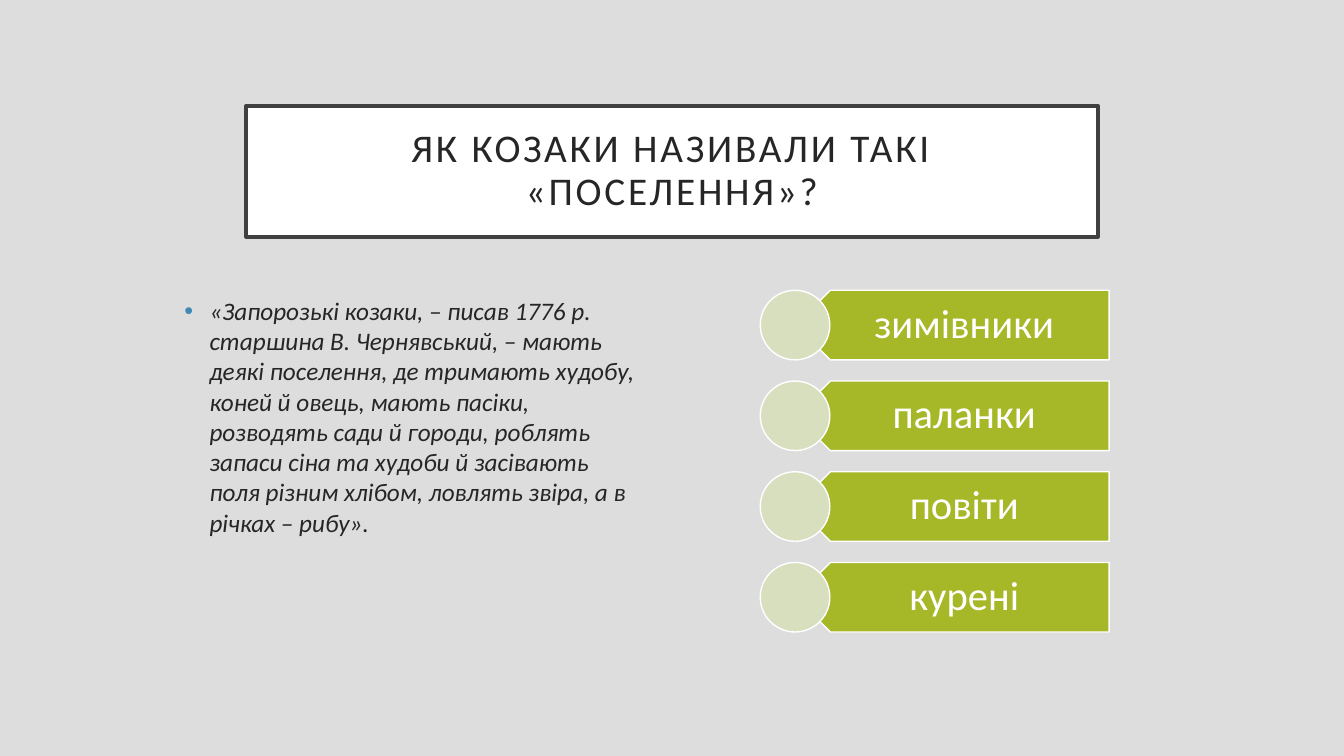
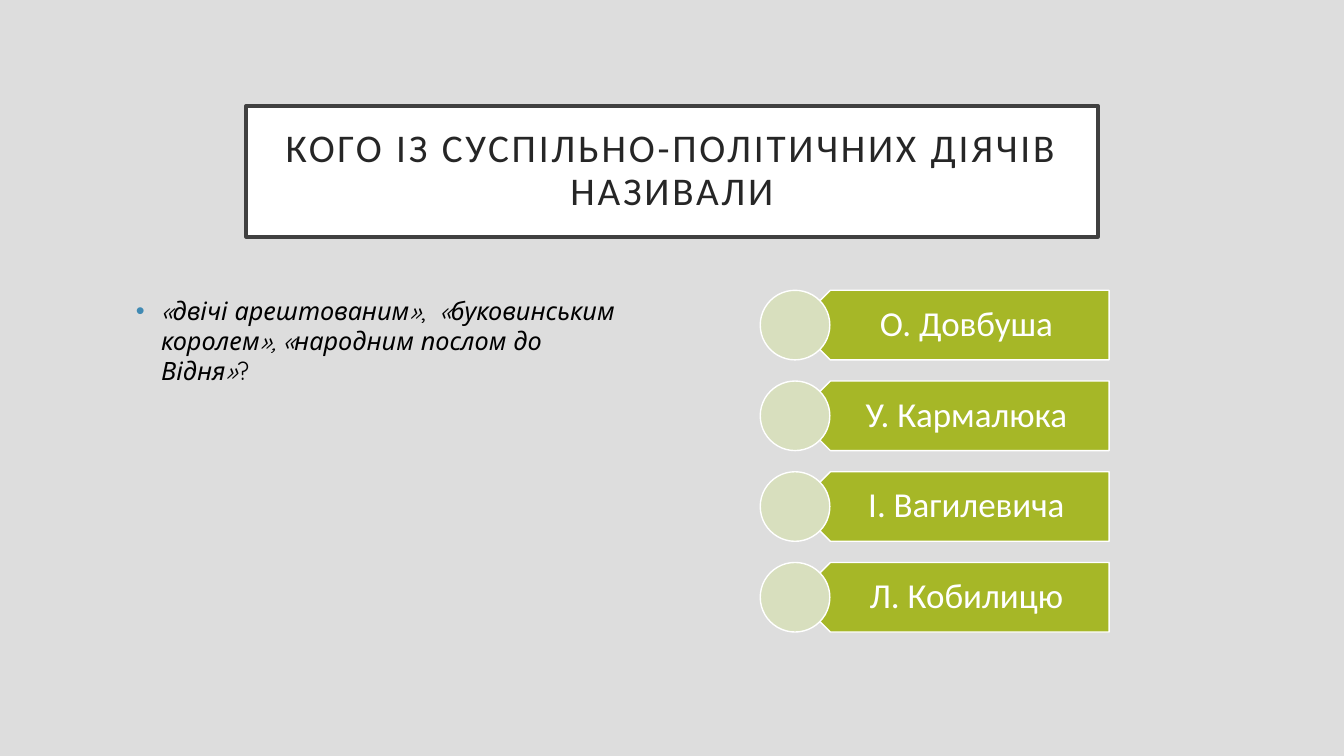
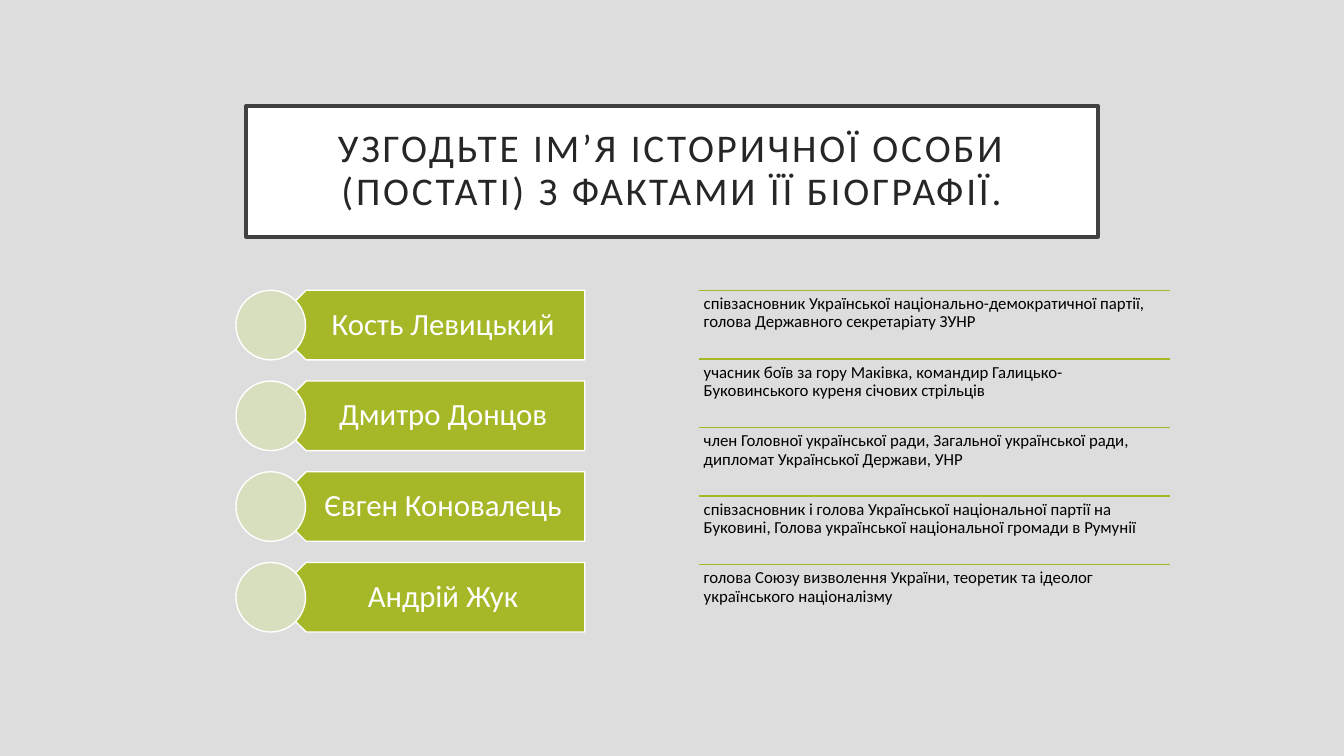
"""Build three history quiz slides with answer plates and biography facts."""
from lxml import etree
from pptx import Presentation
from pptx.dml.color import RGBColor
from pptx.enum import shapes, text
from pptx.oxml import ns
from pptx.util import Inches, Pt

GREY = RGBColor(0xDD, 0xDD, 0xDD)
WHITE = RGBColor(0xFF, 0xFF, 0xFF)
BLACK = RGBColor(0, 0, 0)
INK = RGBColor(0x26, 0x26, 0x26)
FRAME = RGBColor(0x40, 0x40, 0x40)
LIME = RGBColor(0xA6, 0xB7, 0x27)
PALE = RGBColor(0xD8, 0xDF, 0xBE)
BLUE = RGBColor(0x41, 0x8A, 0xB3)

SHAPE = shapes.MSO_SHAPE
MID = text.MSO_ANCHOR.MIDDLE
CENTER = text.PP_ALIGN.CENTER
TOP = 2.88

SLIDES = [
    {
        "title": "ЯК КОЗАКИ НАЗИВАЛИ ТАКІ «ПОСЕЛЕННЯ»?",
        "body": [("«Запорозькі козаки, – писав 1776 р. старшина В. Чернявський, – мають деякі "
                  "поселення, де тримають худобу, коней й овець, мають пасіки, розводять сади й "
                  "городи, роблять запаси сіна та худоби й засівають поля різним хлібом, ловлять "
                  "звіра, а в річках – рибу».", True)],
        "place": (1.73, 4.67),
        "font": {"name": "Calibri", "color": INK},
        "names": ["зимівники", "паланки", "повіти", "курені"],
        "left": 7.54, "size": 29, "pad": (0.31, 0.12, 0.23, 0.12),
    },
    {
        "title": "КОГО ІЗ СУСПІЛЬНО-ПОЛІТИЧНИХ ДІЯЧІВ НАЗИВАЛИ",
        "body": [("«двічі арештованим»", True), (",  ", False),
                 ("«буковинським королем», «народним послом до Відня»", True), ("?", False)],
        "place": (1.25, 5.15),
        "font": {"name": "Quicksand", "color": BLACK},
        "names": ["О. Довбуша", "У. Кармалюка", "І. Вагилевича", "Л. Кобилицю"],
        "left": 7.54, "size": 25, "pad": (0.31, 0.1, 0.19, 0.1),
    },
    {
        "title": "УЗГОДЬТЕ ІМ’Я ІСТОРИЧНОЇ ОСОБИ (ПОСТАТІ) З ФАКТАМИ ЇЇ БІОГРАФІЇ.",
        "names": ["Кость Левицький", "Дмитро Донцов", "Євген Коновалець", "Андрій Жук"],
        "left": 2.34, "size": 22, "pad": (0.31, 0.09, 0.17, 0.09),
        "facts": [
            "співзасновник Української національно-демократичної партії, голова Державного "
            "секретаріату ЗУНР",
            "учасник боїв за гору Маківка, командир Галицько-Буковинського куреня січових стрільців",
            "член Головної української ради, Загальної української ради, дипломат Української "
            "Держави, УНР",
            "співзасновник і голова Української національної партії на Буковині, Голова "
            "української національної громади в Румунії",
            "голова Союзу визволення України, теоретик та ідеолог українського націоналізму",
        ],
    },
]


def box(at):
    return [Inches(v) for v in at]


def draw(slide, kind, at, fill, line, width):
    shape = slide.shapes.add_shape(kind, *box(at))
    shape.shadow.inherit = False
    shape.fill.solid()
    shape.fill.fore_color.rgb = fill
    shape.line.color.rgb = line
    shape.line.width = Pt(width)
    return shape


def write(shape, runs, size, color, pad, name="Calibri", **style):
    frame = shape.text_frame
    frame.word_wrap = True
    frame.vertical_anchor = style.pop("anchor", text.MSO_ANCHOR.TOP)
    for side, gap in zip(("left", "top", "right", "bottom"), pad):
        setattr(frame, "margin_" + side, Inches(gap))
    para = frame.paragraphs[0]
    for key, value in style.items():
        setattr(para, key, value)
    for words, slant in runs:
        run = para.add_run()
        run.text = words
        for key, value in {"size": Pt(size), "name": name, "italic": slant}.items():
            setattr(run.font, key, value)
        run.font.color.rgb = color
    return para


def add_title(slide, words):
    shape = draw(slide, SHAPE.RECTANGLE, (2.44, 1.05, 8.45, 1.3), WHITE, FRAME, 2.5)
    para = write(shape, [(words, False)], 28, INK, [0.2] * 4,
                 anchor=MID, alignment=CENTER, line_spacing=0.9)
    para.runs[0].font._element.set("spc", "200")


def add_body(slide, runs, place, font):
    left, width = place
    shape = slide.shapes.add_textbox(*box((left, TOP, width, 3.39)))
    para = write(shape, runs, 18, pad=(0.1, 0.05, 0.1, 0.05), **font)
    props = para._p.get_or_add_pPr()
    props.set("marL", str(Inches(0.25)))
    props.set("indent", str(-Inches(0.25)))
    tint = etree.SubElement(props, ns.qn("a:buClr"))
    etree.SubElement(tint, ns.qn("a:srgbClr")).set("val", str(BLUE))
    etree.SubElement(props, ns.qn("a:buFont")).set("typeface", "Arial")
    etree.SubElement(props, ns.qn("a:buChar")).set("char", "•")


def add_names(slide, names, left, size, pad):
    side = 0.69
    for row, name in enumerate(names):
        top = TOP + 0.9 * row
        plate = draw(slide, SHAPE.PENTAGON, (left + 0.35, top, 3.11, side), LIME, WHITE, 1)
        plate.rotation = 180
        label = slide.shapes.add_textbox(*box((left + 0.52, top, 2.93, side)))
        write(label, [(name, False)], size, WHITE, pad,
              anchor=MID, alignment=CENTER, line_spacing=0.9)
        draw(slide, SHAPE.OVAL, (left, top, side, side), PALE, WHITE, 1)


def add_facts(slide, facts):
    left, width, step = 6.93, 4.67, 0.68
    for row, fact in enumerate(facts):
        top = TOP + step * row
        rule = slide.shapes.add_connector(shapes.MSO_CONNECTOR.STRAIGHT,
                                          *box((left, top, left + width, top)))
        rule.line.color.rgb = LIME
        rule.line.width = Pt(1)
        etree.SubElement(rule._element.spPr, ns.qn("a:effectLst"))
        label = slide.shapes.add_textbox(*box((left, top, width, step)))
        write(label, [(fact, False)], 12, BLACK, [0.05] * 4, line_spacing=0.9)


def main():
    deck = Presentation()
    deck.slide_width, deck.slide_height = box((13.33, 7.5))
    back = deck.slide_master.background.fill
    back.solid()
    back.fore_color.rgb = GREY
    for item in SLIDES:
        slide = deck.slides.add_slide(deck.slide_layouts[6])
        add_title(slide, item["title"])
        if "body" in item:
            add_body(slide, item["body"], item["place"], item["font"])
        add_names(slide, item["names"], item["left"], item["size"], item["pad"])
        add_facts(slide, item.get("facts", []))
    deck.save("out.pptx")


if __name__ == "__main__":
    main()
